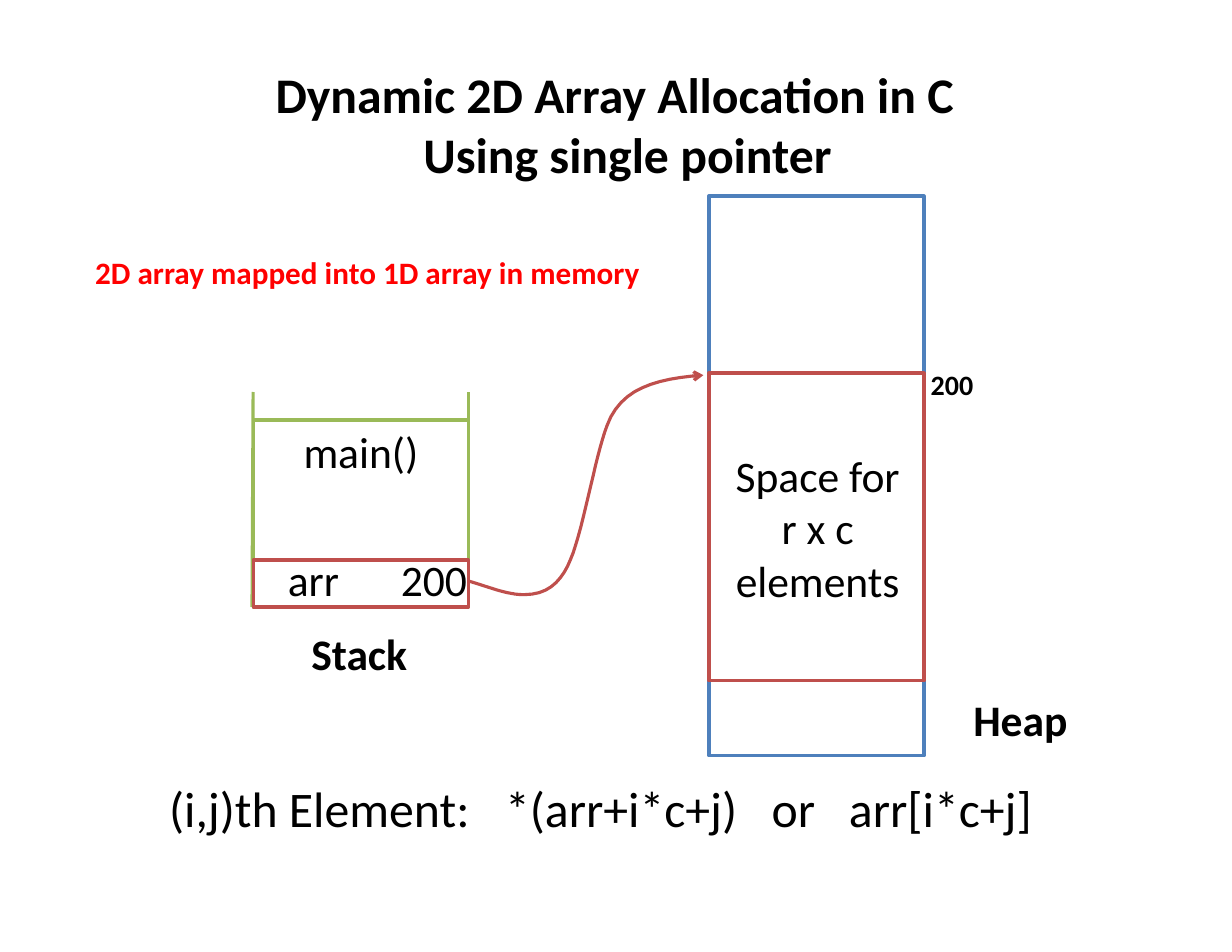
from dataclasses import dataclass

from lxml import etree
from pptx import Presentation
from pptx.dml.color import RGBColor
from pptx.enum import shapes, text
from pptx.oxml import ns
from pptx.slide import Slide
from pptx.util import Inches, Pt

Point = tuple[float, float]


@dataclass(frozen=True)
class Theme:
    font: str = "Calibri"
    ink: str = "000000"
    accent: str = "FF0000"
    paper: str = "FFFFFF"
    heap: str = "4E80BC"
    stack: str = "9ABA58"
    pointer: str = "BF4F4C"
    heading: int = 32
    body: int = 28
    remark: int = 20
    address: int = 18
    stroke: float = 2


THEME = Theme()


@dataclass(frozen=True)
class Block:
    left: float
    top: float
    width: float
    height: float
    line: str
    filled: bool = False


@dataclass(frozen=True)
class Label:
    words: str
    left: float
    top: float
    width: float
    height: float
    size: int = THEME.body
    bold: bool = False
    color: str = THEME.ink
    centred: bool = False
    tabs: tuple[float, ...] = ()
    indents: tuple[float, ...] = ()


BLOCKS = [
    Block(6.33, 1.75, 1.92, 5, THEME.heap),
    Block(6.33, 3.33, 1.92, 2.75, THEME.pointer, filled=True),
    Block(2.26, 3.75, 1.92, 1.67, THEME.stack),
]
ARR_CELL = Block(2.26, 5, 1.92, 0.42, THEME.pointer, filled=True)
STACK_WALLS = [((2.26, 3.5), (2.25, 5.42)), ((4.18, 3.5), (4.18, 5.42))]

LABELS = [
    Label("Dynamic 2D Array Allocation in C\nUsing single pointer", 2.46, 0.57, 6.08, 1.09,
          THEME.heading, bold=True, indents=(0, 1.32)),
    Label("2D array mapped into 1D array in memory", 0.85, 2.26, 4.88, 0.34,
          THEME.remark, bold=True, color=THEME.accent),
    Label("main()", 2.71, 3.79, 1.05, 0.48),
    Label("arr\t200", 2.57, 4.94, 1.62, 0.48, tabs=(1.01,)),
    Label("Stack", 2.78, 5.6, 0.9, 0.48, bold=True),
    Label("Space for\vr x c\velements", 6.34, 4.01, 1.92, 1.42, centred=True),
    Label("200", 8.31, 3.28, 0.42, 0.31, THEME.address, bold=True),
    Label("Heap", 8.69, 6.19, 0.87, 0.48, bold=True),
    Label("(i,j)th Element:\t*(arr+i*c+j)\tor\tarr[i*c+j]", 1.51, 6.94, 8.03, 0.54,
          THEME.heading, tabs=(3, 5.38, 6.07)),
]

POINTER_START = (4.19, 5.19)
# Each bend: two control points, then the end point.
POINTER_BENDS = [
    ((4.36, 5.24), (4.52, 5.31), (4.68, 5.31)),
    ((4.98, 5.31), (5.08, 5.08), (5.16, 4.8)),
    ((5.27, 4.4), (5.33, 4.04), (5.42, 3.8)),
    ((5.54, 3.47), (5.85, 3.38), (6.28, 3.35)),
]
UNITS_PER_INCH = 1000  # freeform points are whole numbers


def rgb(color: str) -> RGBColor:
    return RGBColor.from_string(color)


def style_line(shape, color: str) -> None:
    shape.line.color.rgb = rgb(color)
    shape.line.width = Pt(THEME.stroke)


def draw_block(slide: Slide, block: Block) -> None:
    shape = slide.shapes.add_shape(
        shapes.MSO_SHAPE.RECTANGLE, Inches(block.left), Inches(block.top),
        Inches(block.width), Inches(block.height))
    shape.shadow.inherit = False
    style_line(shape, block.line)
    if block.filled:
        shape.fill.solid()
        shape.fill.fore_color.rgb = rgb(THEME.paper)
    else:
        shape.fill.background()


def draw_wall(slide: Slide, start: Point, end: Point) -> None:
    wall = slide.shapes.add_connector(
        shapes.MSO_CONNECTOR.STRAIGHT, *(Inches(v) for v in (*start, *end)))
    style_line(wall, THEME.stack)
    etree.SubElement(wall._element.spPr, ns.qn("a:effectLst"))


def draw_label(slide: Slide, label: Label) -> None:
    box = slide.shapes.add_textbox(
        Inches(label.left), Inches(label.top), Inches(label.width), Inches(label.height))
    frame = box.text_frame
    frame.margin_left = frame.margin_right = frame.margin_top = frame.margin_bottom = 0
    frame.word_wrap = label.centred
    frame.text = label.words
    for number, paragraph in enumerate(frame.paragraphs):
        paragraph.alignment = text.PP_ALIGN.CENTER if label.centred else text.PP_ALIGN.LEFT
        properties = paragraph._p.get_or_add_pPr()
        if label.indents:
            properties.set("marL", str(Inches(label.indents[number])))
        if label.tabs:
            stops = etree.SubElement(properties, ns.qn("a:tabLst"))
            for tab in label.tabs:
                etree.SubElement(stops, ns.qn("a:tab"), pos=str(Inches(tab)), algn="l")
        for run in paragraph.runs:
            run.font.name = THEME.font
            run.font.size = Pt(label.size)
            run.font.bold = label.bold
            run.font.color.rgb = rgb(label.color)


def bezier(points: tuple[Point, ...], t: float) -> Point:
    weights = ((1 - t) ** 3, 3 * t * (1 - t) ** 2, 3 * t * t * (1 - t), t ** 3)
    x, y = (sum(w * p[axis] for w, p in zip(weights, points)) for axis in (0, 1))
    return x, y


def draw_pointer(slide: Slide, steps: int = 12) -> None:
    """Draw the curved arrow from arr to the allocated space."""
    curve, start = [POINTER_START], POINTER_START
    for bend in POINTER_BENDS:
        curve += [bezier((start, *bend), step / steps) for step in range(1, steps + 1)]
        start = bend[-1]
    first, *rest = [(round(x * UNITS_PER_INCH), round(y * UNITS_PER_INCH)) for x, y in curve]
    builder = slide.shapes.build_freeform(*first, scale=Inches(1) / UNITS_PER_INCH)
    builder.add_line_segments(rest, close=False)
    arrow = builder.convert_to_shape()
    arrow.shadow.inherit = False
    arrow.fill.background()
    style_line(arrow, THEME.pointer)
    etree.SubElement(arrow.line._get_or_add_ln(), ns.qn("a:tailEnd"), type="arrow")


def main() -> None:
    deck = Presentation()
    deck.slide_width, deck.slide_height = Inches(11), Inches(8.5)
    slide = deck.slides.add_slide(deck.slide_layouts[6])
    for block in BLOCKS:
        draw_block(slide, block)
    for start, end in STACK_WALLS:
        draw_wall(slide, start, end)
    draw_block(slide, ARR_CELL)
    draw_pointer(slide)
    for label in LABELS:
        draw_label(slide, label)
    deck.save("out.pptx")


if __name__ == "__main__":
    main()
